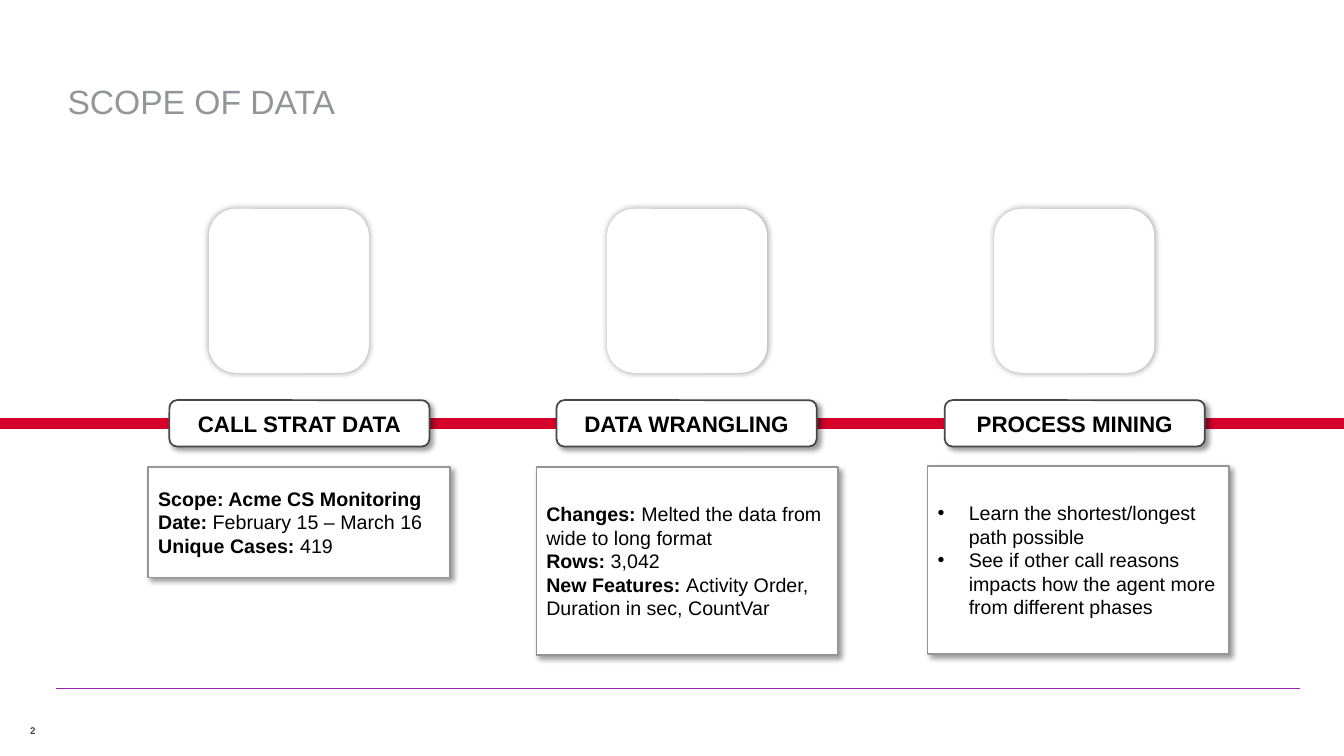
from dataclasses import dataclass

from lxml.etree import SubElement
from pptx import Presentation
from pptx.dml.color import RGBColor
from pptx.enum.shapes import MSO_CONNECTOR, MSO_SHAPE
from pptx.enum.text import MSO_ANCHOR, MSO_AUTO_SIZE, PP_ALIGN
from pptx.oxml.ns import qn
from pptx.util import Inches, Pt


@dataclass(frozen=True)
class Theme:
    font: str = "Arial"
    black: str = "000000"
    white: str = "FFFFFF"
    gray: str = "939598"
    dark: str = "484748"
    red: str = "D5002B"
    purple: str = "9C23AF"
    title: float = 24
    label: float = 16
    body: float = 14
    number: float = 7
    edge: float = 1.25


THEME = Theme()

# Each stage: icon left, label left, card left, top and height, name, lines.
# A line is a (bold lead, plain rest) pair; an empty lead makes a bullet.
STAGES = [
    (2.08, 1.68, 1.47, 4.63, 1.1, "CALL STRAT DATA", [
        ("Scope: Acme CS Monitoring", ""),
        ("Date:", " February 15 – March 16"),
        ("Unique Cases:", " 419")]),
    (6.03, 5.52, 5.32, 4.63, 1.87, "DATA WRANGLING", [
        ("Changes:", " Melted the data from wide to long format"),
        ("Rows:", " 3,042"),
        ("New Features: ", "Activity Order, Duration in sec, CountVar")]),
    (9.87, 9.37, 9.2, 4.62, 1.87, "PROCESS MINING", [
        ("", "Learn the shortest/longest path possible"),
        ("", "See if other call reasons impacts how the agent more "
             "from different phases")]),
]


def rgb(code):
    return RGBColor.from_string(code)


def style(para, size, color, bold=None):
    font = para.font
    font.name, font.size, font.bold = THEME.font, Pt(size), bold
    font.color.rgb = rgb(color)


def clear(frame):
    frame.margin_left = frame.margin_right = 0
    frame.margin_top = frame.margin_bottom = 0


def add_rule(slide, start, end, y, color, width):
    rule = slide.shapes.add_connector(
        MSO_CONNECTOR.STRAIGHT, Inches(start), Inches(y), Inches(end), Inches(y))
    rule.line.color.rgb = rgb(color)
    rule.line.width = Pt(width)
    SubElement(rule._element.spPr, qn("a:effectLst"))


def add_box(slide, kind, box, edge, blur=4, dist=3, angle=45):
    """White box with a soft shadow."""
    shape = slide.shapes.add_shape(kind, *map(Inches, box))
    shape.fill.solid()
    shape.fill.fore_color.rgb = rgb(THEME.white)
    shape.line.color.rgb = rgb(edge)
    shape.line.width = Pt(THEME.edge)
    shape.shadow.inherit = False
    effects = shape._element.spPr.find(qn("a:effectLst"))
    shadow = SubElement(
        effects, qn("a:outerShdw"), blurRad=str(Pt(blur)), dist=str(Pt(dist)),
        dir=str(angle * 60000), algn="ctr", rotWithShape="0")
    color = SubElement(shadow, qn("a:srgbClr"), val=THEME.black)
    SubElement(color, qn("a:alpha"), val="40000")
    shape.text_frame.word_wrap = True
    shape.text_frame.vertical_anchor = MSO_ANCHOR.MIDDLE
    return shape


def add_bullet(para):
    props = para._p.get_or_add_pPr()
    props.set("marL", str(Inches(0.31)))
    props.set("indent", str(Inches(-0.31)))
    SubElement(props, qn("a:buFont"), typeface=THEME.font)
    SubElement(props, qn("a:buChar"), char="•")


def add_label(slide, left, name):
    box = add_box(slide, MSO_SHAPE.ROUNDED_RECTANGLE,
                  (left, 3.97, 2.58, 0.46), THEME.dark)
    para = box.text_frame.paragraphs[0]
    para.text = name
    para.alignment = PP_ALIGN.CENTER
    style(para, THEME.label, THEME.black, True)


def add_card(slide, left, top, height, lines):
    box = add_box(slide, MSO_SHAPE.RECTANGLE, (left, top, 2.99, height), THEME.gray)
    frame = box.text_frame
    for i, (lead, rest) in enumerate(lines):
        para = frame.add_paragraph() if i else frame.paragraphs[0]
        para.alignment = PP_ALIGN.LEFT
        style(para, THEME.body, THEME.black)
        if lead:
            run = para.add_run()
            run.text = lead
            run.font.bold = True
        else:
            add_bullet(para)
        if rest:
            para.add_run().text = rest


def add_title(slide, text):
    title = slide.shapes.title
    title.left, title.top = Inches(0.67), Inches(0.67)
    title.width, title.height = Inches(11.98), Inches(0.53)
    frame = title.text_frame
    clear(frame)
    frame.auto_size = MSO_AUTO_SIZE.NONE
    frame.vertical_anchor = MSO_ANCHOR.BOTTOM
    para = frame.paragraphs[0]
    para.text = text
    para.alignment = PP_ALIGN.LEFT
    style(para, THEME.title, THEME.gray)


def add_number(slide, text):
    box = slide.shapes.add_textbox(*map(Inches, (0.3, 7.19, 0.3, 0.12)))
    clear(box.text_frame)
    box.text_frame.word_wrap = True
    para = box.text_frame.paragraphs[0]
    para.text = text
    style(para, THEME.number, THEME.dark, True)


def main():
    deck = Presentation()
    deck.slide_width, deck.slide_height = Inches(13.33), Inches(7.5)
    slide = deck.slides.add_slide(deck.slide_layouts[5])

    # Footer, timeline and title
    add_rule(slide, 0.56, 12.89, 6.83, THEME.purple, 0.75)
    add_number(slide, "2")
    add_rule(slide, 0, 13.33, 4.2, THEME.red, 8)
    add_title(slide, "SCOPE OF DATA")

    # Three stages: icon frame, label, card
    for icon, label, card, top, height, name, lines in STAGES:
        add_box(slide, MSO_SHAPE.ROUNDED_RECTANGLE, (icon, 2.08, 1.57, 1.61),
                THEME.white, blur=5, dist=0, angle=0)
        add_card(slide, card, top, height, lines)
        add_label(slide, label, name)

    deck.save("out.pptx")


if __name__ == "__main__":
    main()
